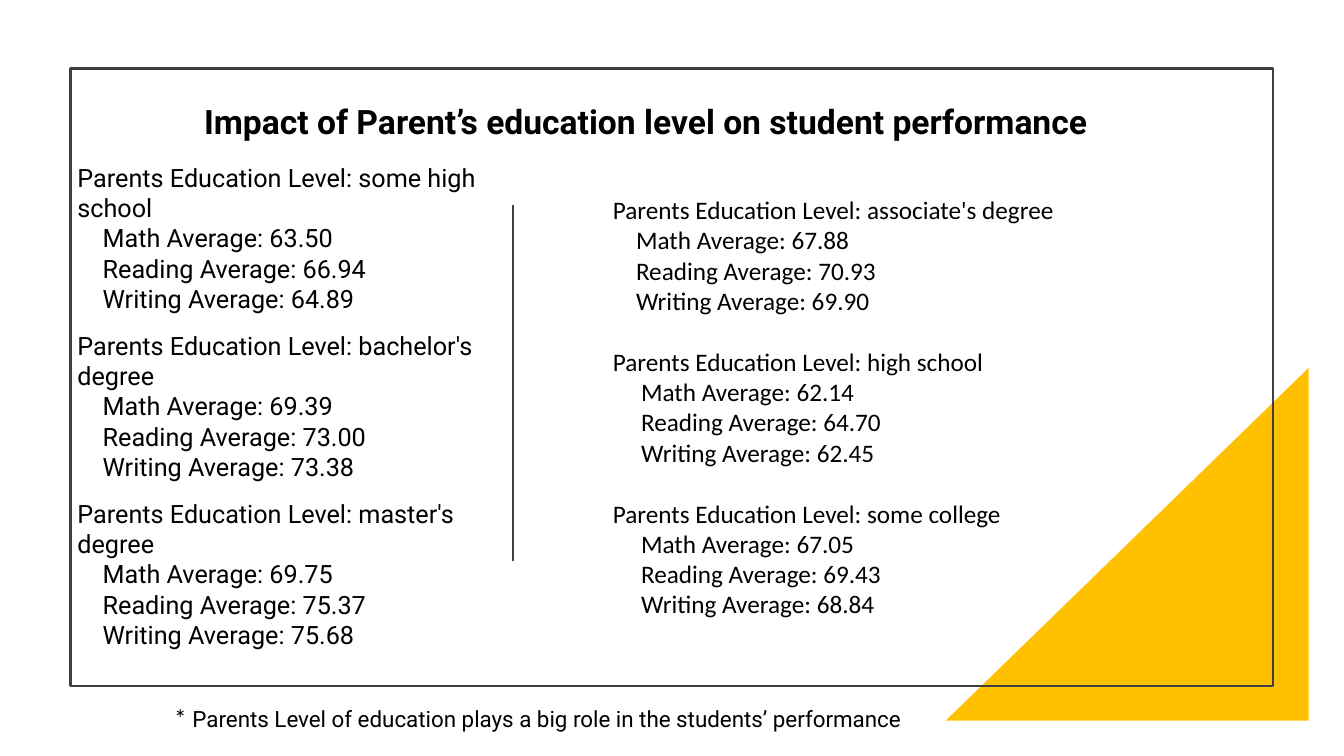
from pptx import Presentation
from pptx.dml.color import RGBColor
from pptx.enum.shapes import MSO_CONNECTOR, MSO_SHAPE
from pptx.enum.text import MSO_ANCHOR, MSO_AUTO_SIZE, PP_ALIGN
from pptx.oxml.ns import qn
from pptx.util import Inches, Pt

RECT, TRIANGLE = MSO_SHAPE.RECTANGLE, MSO_SHAPE.RIGHT_TRIANGLE
STRAIGHT = MSO_CONNECTOR.STRAIGHT
TOP, MIDDLE = MSO_ANCHOR.TOP, MSO_ANCHOR.MIDDLE
NO_FIT, GROW = MSO_AUTO_SIZE.NONE, MSO_AUTO_SIZE.SHAPE_TO_FIT_TEXT
CENTER = PP_ALIGN.CENTER

W, H = 13.33, 7.5
BLACK, GREY, GOLD = "000000", "404040", "FFC000"
ROBOTO, CALIBRI = "Roboto", "Calibri"
TITLE = "Impact of Parent’s education level on student performance"
SUBJECTS = ("Math", "Reading", "Writing")

# Each level: name, indent of its scores in inches, scores by subject
LEFT_LEVELS = [
    ("some high school", 0.25, ("63.50", "66.94", "64.89")),
    ("bachelor's degree", 0.25, ("69.39", "73.00", "73.38")),
    ("master's degree", 0.25, ("69.75", "75.37", "75.68")),
]
RIGHT_LEVELS = [
    ("associate's degree", 0.23, ("67.88", "70.93", "69.90")),
    ("high school", 0.28, ("62.14", "64.70", "62.45")),
    ("some college", 0.28, ("67.05", "69.43", "68.84")),
]


def color(code):
    return RGBColor.from_string(code)


def box(x, y, w, h):
    """Turn shares of the slide's size into lengths."""
    return Inches(x * W), Inches(y * H), Inches(w * W), Inches(h * H)


def add_run(p, text, size, font, bold=False):
    r = p.add_run()
    r.text = text
    r.font.size, r.font.name, r.font.bold = Pt(size), font, bold
    r.font.color.rgb = color(BLACK)


def add_shape(slide, kind, place, fill=None, line=None, flip=False):
    sp = slide.shapes.add_shape(kind, *box(*place))
    sp.shadow.inherit = False
    if fill:
        sp.fill.solid()
        sp.fill.fore_color.rgb = color(fill)
    else:
        sp.fill.background()
    if line:
        sp.line.color.rgb = color(line)
        sp.line.width = Pt(1.5)
    else:
        sp.line.fill.background()
    if flip:
        sp._element.spPr.find(qn("a:xfrm")).set("flipH", "1")


def add_divider(slide, x, top, bottom):
    left, y1, _, length = box(x, top, 0, bottom - top)
    line = slide.shapes.add_connector(STRAIGHT, left, y1, left, y1 + length)
    line.line.color.rgb = color(GREY)
    line.line.width = Pt(1.5)
    spPr = line._element.spPr
    spPr.append(spPr.makeelement(qn("a:effectLst"), {}))


def add_text_frame(slide, place):
    tf = slide.shapes.add_textbox(*box(*place)).text_frame
    tf.word_wrap = True
    tf.auto_size = GROW
    return tf


def set_title(slide, place):
    sp = slide.shapes.title
    sp.left, sp.top, sp.width, sp.height = box(*place)
    tf = sp.text_frame
    tf.word_wrap, tf.auto_size, tf.vertical_anchor = True, NO_FIT, MIDDLE
    p = tf.paragraphs[0]
    p.alignment = CENTER
    add_run(p, TITLE, 24, ROBOTO, bold=True)


def add_levels(slide, place, levels, font, gap):
    """One column of education levels, each with its indented averages."""
    tf = add_text_frame(slide, place)
    tf.vertical_anchor = TOP
    for i, (level, indent, scores) in enumerate(levels):
        p = tf.add_paragraph() if i else tf.paragraphs[0]
        if i:
            p.space_before = Pt(gap)
        add_run(p, f"Parents Education Level: {level}", 18, font)
        for subject, score in zip(SUBJECTS, scores):
            p = tf.add_paragraph()
            p._p.get_or_add_pPr().set("marL", str(Inches(indent)))
            add_run(p, f"{subject} Average: {score}", 18, font)


def add_footnote(slide, place):
    p = add_text_frame(slide, place).paragraphs[0]
    add_run(p, "* ", 18, CALIBRI)
    add_run(p, "Parents Level of education plays a big role in the "
               "students’ performance", 16, ROBOTO)


def main():
    prs = Presentation()
    prs.slide_width, prs.slide_height = Inches(W), Inches(H)
    slide = prs.slides.add_slide(prs.slide_layouts[5])

    # Corner triangle, frame and divider
    add_shape(slide, TRIANGLE, (9.38 / W, 3.65 / H, 3.6 / W, 3.5 / H),
              fill=GOLD, flip=True)
    add_shape(slide, RECT, (0.7 / W, 0.68 / H, 11.93 / W, 6.13 / H), line=GREY)
    add_divider(slide, 5.09 / W, 2.03 / H, 5.57 / H)

    # Title, two columns and footnote
    set_title(slide, (0.98 / W, 0.95 / H, 10.85 / W, 0.5 / H))
    add_levels(slide, (0.67 / W, 1.56 / H, 4.33 / W, 4.98 / H),
               LEFT_LEVELS, ROBOTO, gap=12)
    add_levels(slide, (5.98 / W, 1.88 / H, 4.99 / W, 4.34 / H),
               RIGHT_LEVELS, CALIBRI, gap=22)
    add_footnote(slide, (1.63 / W, 6.92 / H, 8.04 / W, 0.4 / H))

    prs.save("out.pptx")


if __name__ == "__main__":
    main()
